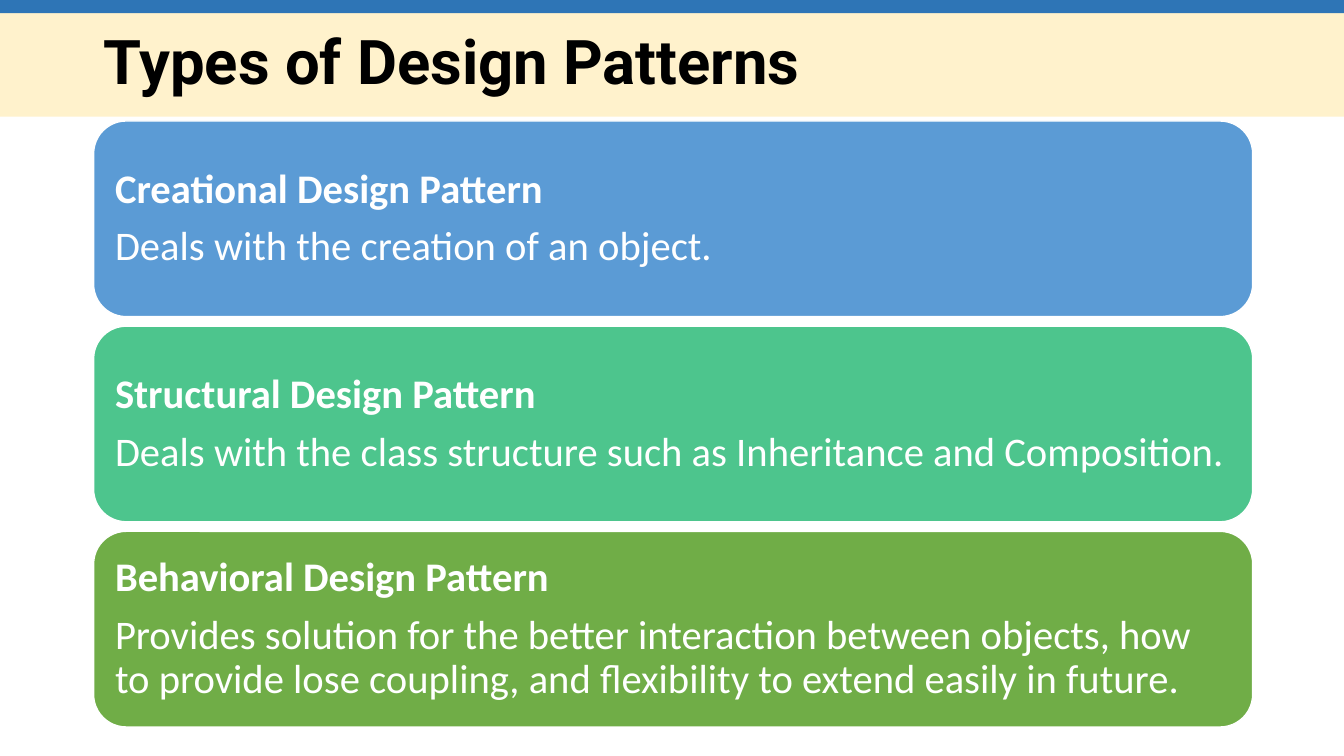
from pptx import Presentation
from pptx import util as u
from pptx.dml.color import RGBColor
from pptx.enum import shapes, text

WHITE = RGBColor(0xFF, 0xFF, 0xFF)
BLACK = RGBColor(0x00, 0x00, 0x00)
CREAM = RGBColor(0xFF, 0xF2, 0xCC)
DARK_BLUE = RGBColor(0x2E, 0x75, 0xB6)
BLUE = RGBColor(0x5B, 0x9B, 0xD5)
TEAL = RGBColor(0x4D, 0xC5, 0x8D)
GREEN = RGBColor(0x70, 0xAD, 0x47)

PATTERNS = [
    ("Creational Design Pattern", "Deals with the creation of an object.", BLUE),
    ("Structural Design Pattern",
     "Deals with the class structure such as Inheritance and Composition.", TEAL),
    ("Behavioral Design Pattern",
     "Provides solution for the better interaction between objects, how to provide "
     "lose coupling, and flexibility to extend easily in future.", GREEN),
]


def add_block(slide, preset, box, color):
    """Add a filled preset shape without outline or shadow."""
    block = slide.shapes.add_shape(preset, *box)
    block.shadow.inherit = False
    block.fill.solid()
    block.fill.fore_color.rgb = color
    block.line.fill.background()
    return block


def style_paragraph(paragraph, name, size, color, bold):
    """Set the font and line spacing of a left-aligned paragraph."""
    paragraph.alignment = text.PP_ALIGN.LEFT
    paragraph.line_spacing = 0.9
    paragraph.font.name = name
    paragraph.font.size = u.Pt(size)
    paragraph.font.color.rgb = color
    paragraph.font.bold = bold


def add_header(slide, left, top, width, height, heading):
    """Place the stripe, the title band and the title in the given box."""
    stripe_height = u.Cm(0.33)
    rectangle = shapes.MSO_SHAPE.RECTANGLE
    add_block(slide, rectangle,
              (left, top + stripe_height, width, height - stripe_height), CREAM)
    add_block(slide, rectangle, (left, top, width, stripe_height), DARK_BLUE)
    title = slide.shapes.add_textbox(left + u.Cm(2.36), top + u.Cm(0.64),
                                     u.Cm(29.21), u.Cm(1.98)).text_frame
    title.word_wrap = True
    title.vertical_anchor = text.MSO_ANCHOR.MIDDLE
    title.text = heading
    style_paragraph(title.paragraphs[0], "Roboto", 44, BLACK, True)


def add_pattern_card(slide, box, name, description, color):
    """Fill the given box with a rounded card naming and describing a pattern."""
    card = add_block(slide, shapes.MSO_SHAPE.ROUNDED_RECTANGLE, box, color)
    card.line.color.rgb = WHITE
    card.line.width = u.Pt(1)
    frame = card.text_frame
    frame.word_wrap = True
    frame.vertical_anchor = text.MSO_ANCHOR.MIDDLE
    frame.margin_left = frame.margin_right = u.Cm(0.3)
    frame.margin_top = frame.margin_bottom = u.Cm(0.3)
    frame.text = f"{name}\n{description}"
    for paragraph, bold in zip(frame.paragraphs, (True, False)):
        style_paragraph(paragraph, "Calibri", 29, WHITE, bold)
        paragraph.space_after = u.Pt(10)


def add_pattern_list(slide, left, top, width, height, patterns):
    """Stack one card per pattern with equal gaps in the given box."""
    gap = u.Cm(0.24)
    card_height = (height - gap * (len(patterns) - 1)) // len(patterns)
    for index, pattern in enumerate(patterns):
        card_top = top + index * (card_height + gap)
        add_pattern_card(slide, (left, card_top, width, card_height), *pattern)


def main():
    """Build the design patterns slide and save it."""
    deck = Presentation()
    deck.slide_width, deck.slide_height = u.Cm(33.87), u.Cm(19.05)
    slide = deck.slides.add_slide(deck.slide_layouts[6])
    add_header(slide, 0, 0, deck.slide_width, u.Cm(2.94), "Types of Design Patterns")
    add_pattern_list(slide, u.Cm(2.36), u.Cm(3.05), u.Cm(29.21), u.Cm(15.27), PATTERNS)
    deck.save("out.pptx")


if __name__ == "__main__":
    main()
